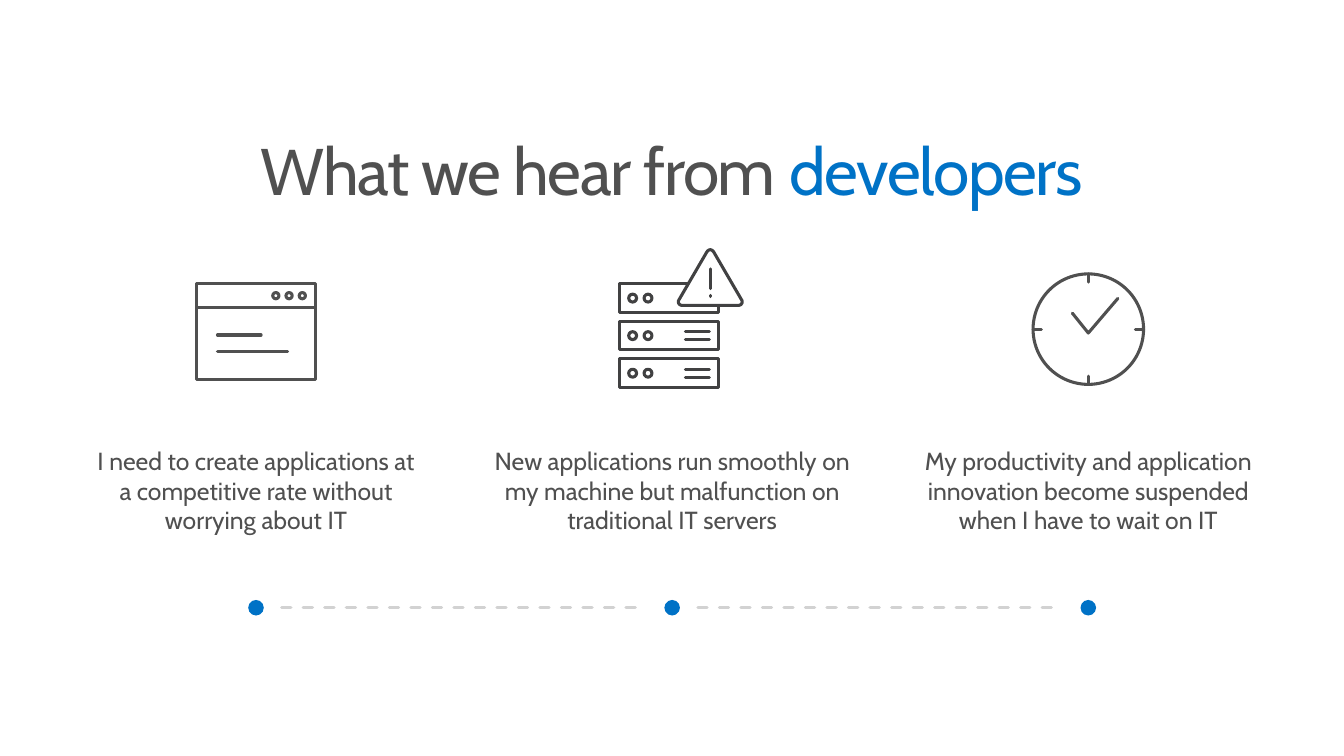
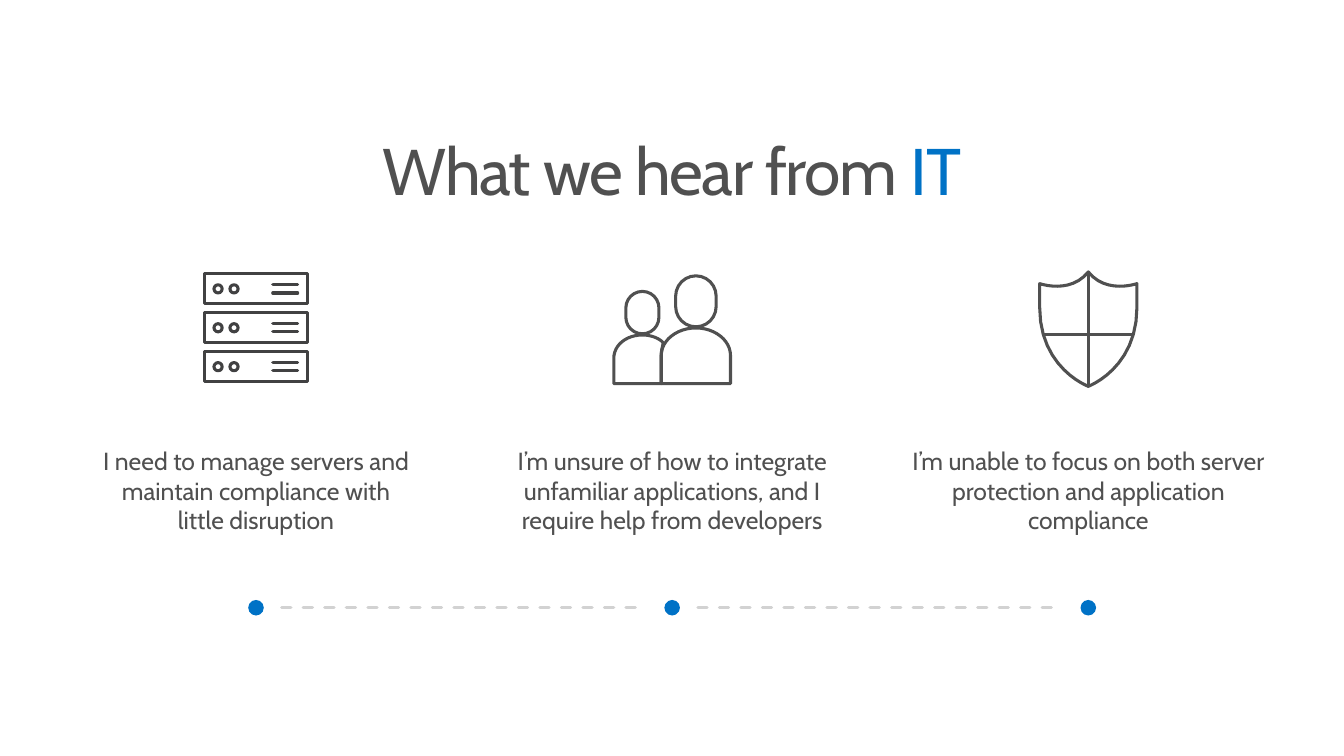
import pptx
import pptx.dml.color
import pptx.enum.dml
import pptx.enum.shapes
import pptx.enum.text
import pptx.oxml.ns
import pptx.shapes.connector
import pptx.util
from lxml import etree

Cm = pptx.util.Cm
Pt = pptx.util.Pt
SHAPE = pptx.enum.shapes.MSO_SHAPE
AUTO_SIZE = pptx.enum.text.MSO_AUTO_SIZE
STRAIGHT = pptx.enum.shapes.MSO_CONNECTOR.STRAIGHT
rgb = pptx.dml.color.RGBColor.from_string
qn = pptx.oxml.ns.qn

FONT = "Cabin"
GREY, DARK, BLUE, PALE, WHITE = "505050", "414142", "0072C6", "D2D2D2", "FFFFFF"

COLUMN_CENTRES = [6.58 + 10.695 * column for column in range(3)]
CAPTION_WIDTHS = [9, 10.06, 10.06]
DOT_SIZE, DOT_Y = 0.4, 15.62
CURVE_STEPS = 12


def write(frame, runs, size, insets, auto_size, line_spacing=None, space_after=None,
          tracking=None):
    """Fill a frame with one centred paragraph of (text, colour) runs."""
    frame.word_wrap = True
    frame.auto_size = auto_size
    frame.vertical_anchor = pptx.enum.text.MSO_ANCHOR.TOP
    frame.margin_left = frame.margin_right = Cm(insets[0])
    frame.margin_top = frame.margin_bottom = Cm(insets[1])
    paragraph = frame.paragraphs[0]
    paragraph.alignment = pptx.enum.text.PP_ALIGN.CENTER
    paragraph.line_spacing = line_spacing
    paragraph.space_before = Pt(0)
    paragraph.space_after = space_after
    for text, colour in runs:
        run = paragraph.add_run()
        run.text = text
        run.font.name = FONT
        run.font.size = Pt(size)
        run.font.color.rgb = rgb(colour)
        if tracking is not None:
            run.font._element.set("spc", str(tracking))


def style(shape, line=None, fill=None, dash=None):
    """Set line and fill, with round line ends and no shadow."""
    if not isinstance(shape, pptx.shapes.connector.Connector):
        if fill:
            shape.fill.solid()
            shape.fill.fore_color.rgb = rgb(fill)
        else:
            shape.fill.background()
    if line:
        shape.line.color.rgb = rgb(line)
        shape.line.width = Pt(2.25)
        shape.line.dash_style = dash
        shape._element.spPr.find(qn("a:ln")).set("cap", "rnd")
    else:
        shape.line.fill.background()
    etree.SubElement(shape._element.spPr, qn("a:effectLst"))


# Icon parts in cm: x from the column centre, y from the top of the slide.
# Boxes are (preset, left, top, width, height), lines are (x1, y1, x2, y2).
# Outlines are (closed, fill, start, steps); a step is a point or, with six
# numbers, a cubic curve.
window = {
    "colour": GREY,
    "boxes": [(SHAPE.RECTANGLE, -1.52, 7.29, 3.04, 2.46)]
    + [(SHAPE.OVAL, 0.43 + 0.34 * button, 7.52, 0.16, 0.16) for button in range(3)],
    "lines": [(-1.52, 7.9, 1.52, 7.9), (-0.99, 8.61, 0.13, 8.61), (-0.99, 9.04, 0.81, 9.04)],
    "outlines": [],
}

racks = []
for left, top, scale in ((-1.35, 7.29, 0.965), (-1.32, 7.04, 1)):
    rack = {"colour": DARK, "boxes": [], "lines": [], "outlines": []}
    for unit in range(3):
        unit_top = top + unit * scale
        rack["boxes"].append((SHAPE.RECTANGLE, left, unit_top, 2.64 * scale, 0.76 * scale))
        for light_x in (0.24, 0.65):
            rack["boxes"].append((SHAPE.OVAL, left + light_x * scale,
                                  unit_top + 0.28 * scale, 0.21 * scale, 0.21 * scale))
        for slot_y in (0.28, 0.49):
            y = unit_top + slot_y * scale
            rack["lines"].append((left + 1.75 * scale, y, left + 2.39 * scale, y))
    racks.append(rack)
failing_servers, servers = racks

warning = {
    "colour": DARK,
    "boxes": [],
    "lines": [(0.98, 6.91, 0.98, 7.42), (0.98, 7.59, 0.98, 7.62)],
    "outlines": [(True, WHITE, (1.07, 6.48), [
        (1.78, 7.7), (1.83, 7.77, 1.78, 7.85, 1.7, 7.85),
        (0.26, 7.85), (0.18, 7.85, 0.13, 7.77, 0.18, 7.7),
        (0.89, 6.48), (0.94, 6.4, 1.02, 6.4, 1.07, 6.48)])],
}

clock = {
    "colour": GREY,
    "boxes": [(SHAPE.OVAL, -1.42, 7.04, 2.84, 2.84)],
    "lines": [(dx * 1.42, 8.46 + dy * 1.42, dx * 1.21, 8.46 + dy * 1.21)
              for dx, dy in ((0, -1), (0, 1), (1, 0), (-1, 0))],
    "outlines": [(False, None, (0.76, 7.67), [(0, 8.56), (-0.41, 8.05)])],
}

people = {
    "colour": GREY,
    "boxes": [(SHAPE.ROUNDED_RECTANGLE, -1.19, 7.49, 0.85, 1.09),
              (SHAPE.ROUNDED_RECTANGLE, 0.09, 7.09, 1.04, 1.31)],
    "lines": [],
    "outlines": [
        (True, None, (0.61, 8.43), [
            (0.13, 8.43, -0.28, 8.74, -0.28, 9.14), (-0.28, 9.86),
            (1.5, 9.86), (1.5, 9.14), (1.5, 8.74, 1.09, 8.43, 0.61, 8.43)]),
        (True, None, (-0.28, 9.12), [
            (-0.28, 9.02, -0.25, 8.92, -0.23, 8.81),
            (-0.33, 8.69, -0.56, 8.61, -0.76, 8.61),
            (-1.17, 8.61, -1.5, 8.86, -1.5, 9.22), (-1.5, 9.86), (-0.28, 9.86)]),
    ],
}

shield = {
    "colour": GREY,
    "boxes": [],
    "lines": [(0, 7.01, 0, 9.93), (-1.13, 8.59, 1.13, 8.59)],
    "outlines": [(True, None, (-1.25, 7.29), [
        (-1.25, 7.29, -0.46, 7.57, 0, 6.99), (0.46, 7.57, 1.25, 7.29, 1.25, 7.29),
        (1.25, 7.9), (1.25, 9.47, 0, 9.93, 0, 9.93),
        (0, 9.93, -1.25, 9.47, -1.25, 7.9)])],
}

SLIDES = [
    ("developers", [
        ("I need to create applications at a competitive rate without worrying about IT",
         [window]),
        ("New applications run smoothly on my machine but malfunction on traditional IT servers",
         [failing_servers, warning]),
        ("My productivity and application innovation become suspended when I have to wait on IT",
         [clock]),
    ]),
    ("IT", [
        ("I need to manage servers and maintain compliance with little disruption",
         [servers]),
        ("I’m unsure of how to integrate unfamiliar applications, and I require help from developers",
         [people]),
        ("I’m unable to focus on both server protection and application compliance",
         [shield]),
    ]),
]

presentation = pptx.Presentation()
presentation.slide_width = Cm(34.54)
presentation.slide_height = Cm(19.43)
title_only = presentation.slide_layouts[5]

for audience, columns in SLIDES:
    slide = presentation.slides.add_slide(title_only)
    title = slide.shapes.title
    title.left, title.top, title.width, title.height = Cm(0.76), Cm(3.3), Cm(33.02), Cm(2.54)
    write(title.text_frame, [("What we hear from ", GREY), (audience, BLUE)], size=48,
          insets=(0.4, 0.25), auto_size=AUTO_SIZE.NONE, line_spacing=0.9, tracking=-100)

    for centre, width, (caption, icon_parts) in zip(COLUMN_CENTRES, CAPTION_WIDTHS, columns):
        box = slide.shapes.add_textbox(Cm(centre - width / 2), Cm(11.05), Cm(width), Cm(3.12))
        write(box.text_frame, [(caption, GREY)], size=18, insets=(0.4, 0.41),
              auto_size=AUTO_SIZE.SHAPE_TO_FIT_TEXT, space_after=Pt(24))

        icon = slide.shapes.add_group_shape().shapes
        for part in icon_parts:
            colour = part["colour"]
            for preset, left, top, box_width, box_height in part["boxes"]:
                shape = icon.add_shape(preset, Cm(centre + left), Cm(top),
                                       Cm(box_width), Cm(box_height))
                if preset == SHAPE.ROUNDED_RECTANGLE:
                    shape.adjustments[0] = 0.5
                style(shape, line=colour)
            for closed, fill, start, steps in part["outlines"]:
                points = [start]
                for step in steps:
                    if len(step) == 2:
                        points.append(step)
                        continue
                    x0, y0 = points[-1]
                    x1, y1, x2, y2, x3, y3 = step
                    for index in range(1, CURVE_STEPS + 1):
                        t = index / CURVE_STEPS
                        a, b, c, d = (1 - t) ** 3, 3 * t * (1 - t) ** 2, 3 * t * t * (1 - t), t ** 3
                        points.append((a * x0 + b * x1 + c * x2 + d * x3,
                                       a * y0 + b * y1 + c * y2 + d * y3))
                vertices = [(Cm(centre + x), Cm(y)) for x, y in points]
                builder = icon.build_freeform(*vertices[0])
                builder.add_line_segments(vertices[1:], close=closed)
                style(builder.convert_to_shape(), line=colour, fill=fill)
            for x1, y1, x2, y2 in part["lines"]:
                style(icon.add_connector(STRAIGHT, Cm(centre + x1), Cm(y1),
                                         Cm(centre + x2), Cm(y2)), line=colour)

    timeline = slide.shapes.add_group_shape().shapes
    for centre in COLUMN_CENTRES:
        dot = timeline.add_shape(SHAPE.OVAL, Cm(centre - DOT_SIZE / 2),
                                 Cm(DOT_Y - DOT_SIZE / 2), Cm(DOT_SIZE), Cm(DOT_SIZE))
        style(dot, fill=BLUE)
    for start, end in zip(COLUMN_CENTRES, COLUMN_CENTRES[1:]):
        dashes = timeline.add_connector(STRAIGHT, Cm(start + 0.66), Cm(DOT_Y),
                                        Cm(end - 0.66), Cm(DOT_Y))
        style(dashes, line=PALE, dash=pptx.enum.dml.MSO_LINE.DASH)

presentation.save("out.pptx")
